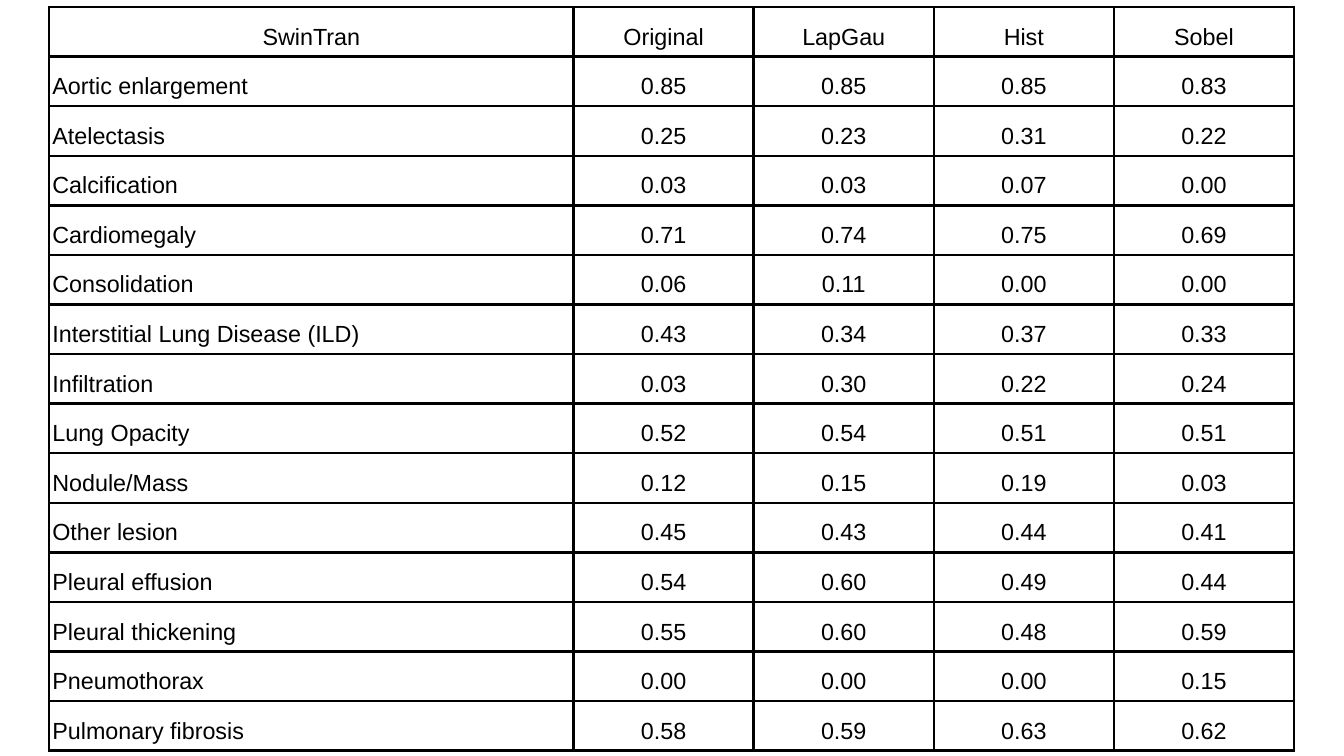
from lxml.etree import SubElement
from pptx import Presentation
from pptx.dml.color import RGBColor
from pptx.enum.text import MSO_ANCHOR as ANCHOR, PP_ALIGN as ALIGN
from pptx.oxml.ns import qn
from pptx.util import Pt

COLORS = {"text": "000000", "border": "000000"}
FONT = "Arial"
INSET = Pt(3.6)

HEADER = ("SwinTran", "Original", "LapGau", "Hist", "Sobel")
SCORES = [
    ("Aortic enlargement", 0.85, 0.85, 0.85, 0.83),
    ("Atelectasis", 0.25, 0.23, 0.31, 0.22),
    ("Calcification", 0.03, 0.03, 0.07, 0.00),
    ("Cardiomegaly", 0.71, 0.74, 0.75, 0.69),
    ("Consolidation", 0.06, 0.11, 0.00, 0.00),
    ("Interstitial Lung Disease (ILD)", 0.43, 0.34, 0.37, 0.33),
    ("Infiltration", 0.03, 0.30, 0.22, 0.24),
    ("Lung Opacity", 0.52, 0.54, 0.51, 0.51),
    ("Nodule/Mass", 0.12, 0.15, 0.19, 0.03),
    ("Other lesion", 0.45, 0.43, 0.44, 0.41),
    ("Pleural effusion", 0.54, 0.60, 0.49, 0.44),
    ("Pleural thickening", 0.55, 0.60, 0.48, 0.59),
    ("Pneumothorax", 0.00, 0.00, 0.00, 0.15),
    ("Pulmonary fibrosis", 0.58, 0.59, 0.63, 0.62),
]


def add_borders(cell, width):
    tc_pr = cell._tc.get_or_add_tcPr()
    for side in ("lnL", "lnR", "lnT", "lnB"):
        line = SubElement(tc_pr, qn(f"a:{side}"), w=str(width))
        fill = SubElement(line, qn("a:solidFill"))
        SubElement(fill, qn("a:srgbClr"), val=COLORS["border"])


def fill_cell(cell, text, align):
    add_borders(cell, Pt(3))
    cell.fill.background()
    cell.vertical_anchor = ANCHOR.MIDDLE
    cell.margin_left = cell.margin_right = INSET
    cell.margin_top = cell.margin_bottom = INSET
    p = cell.text_frame.paragraphs[0]
    p.text = text
    p.alignment = align
    p.line_spacing = 1.4
    p.font.name = FONT
    p.font.size = Pt(25)
    p.font.bold = False
    p.font.color.rgb = RGBColor.from_string(COLORS["text"])


def add_score_table(slide, left, top, width, height):
    rows = [HEADER] + [(name, *(f"{v:.2f}" for v in values)) for name, *values in SCORES]
    frame = slide.shapes.add_table(len(rows), len(HEADER), left, top, width, height)
    table = frame.table
    table.first_row = table.horz_banding = False

    score_width = Pt(193)
    for column in table.columns:
        column.width = score_width
    table.columns[0].width = width - score_width * (len(HEADER) - 1)

    for r, row in enumerate(rows):
        table.rows[r].height = height // len(rows)
        for c, text in enumerate(row):
            align = ALIGN.LEFT if r and c == 0 else ALIGN.CENTER
            fill_cell(table.cell(r, c), text, align)


def main():
    prs = Presentation()
    prs.slide_width, prs.slide_height = Pt(1440), Pt(810)
    slide = prs.slides.add_slide(prs.slide_layouts[6])
    add_score_table(slide, Pt(52.5), Pt(7.5), Pt(1334), Pt(797))
    prs.save("out.pptx")


if __name__ == "__main__":
    main()
